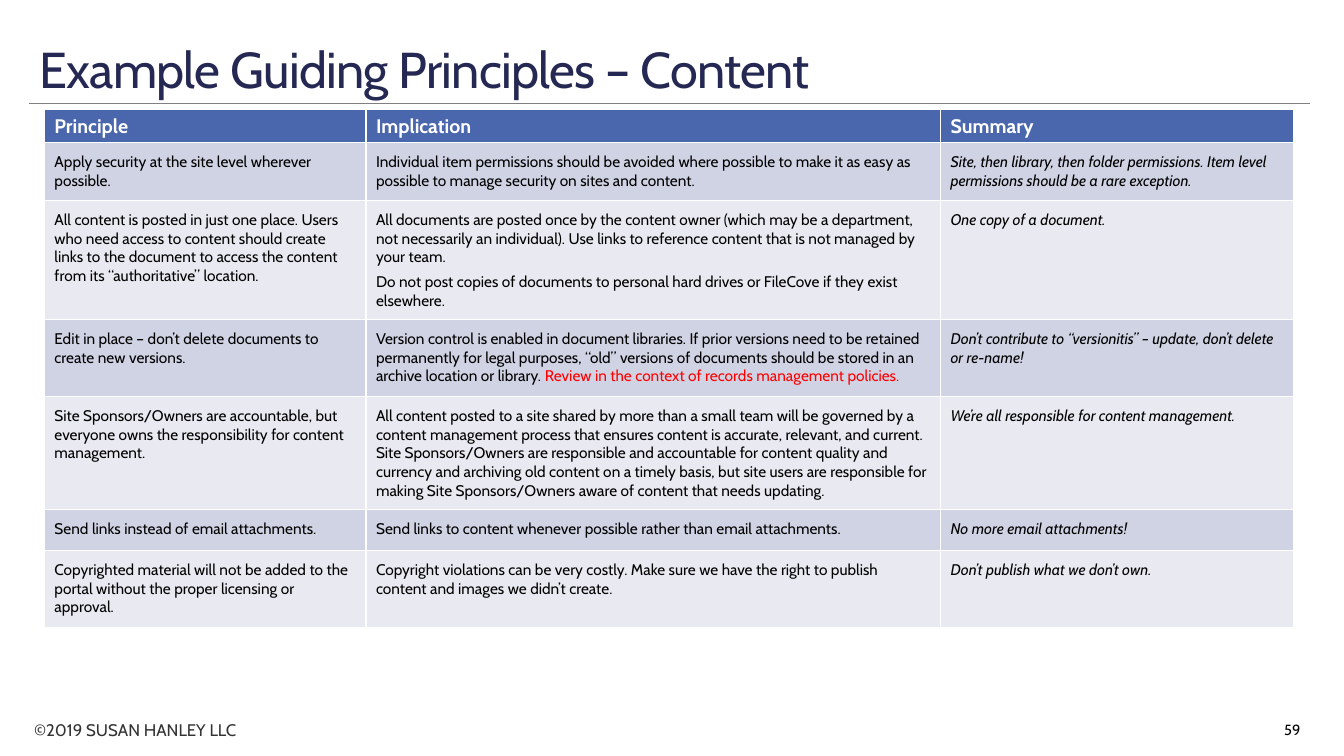
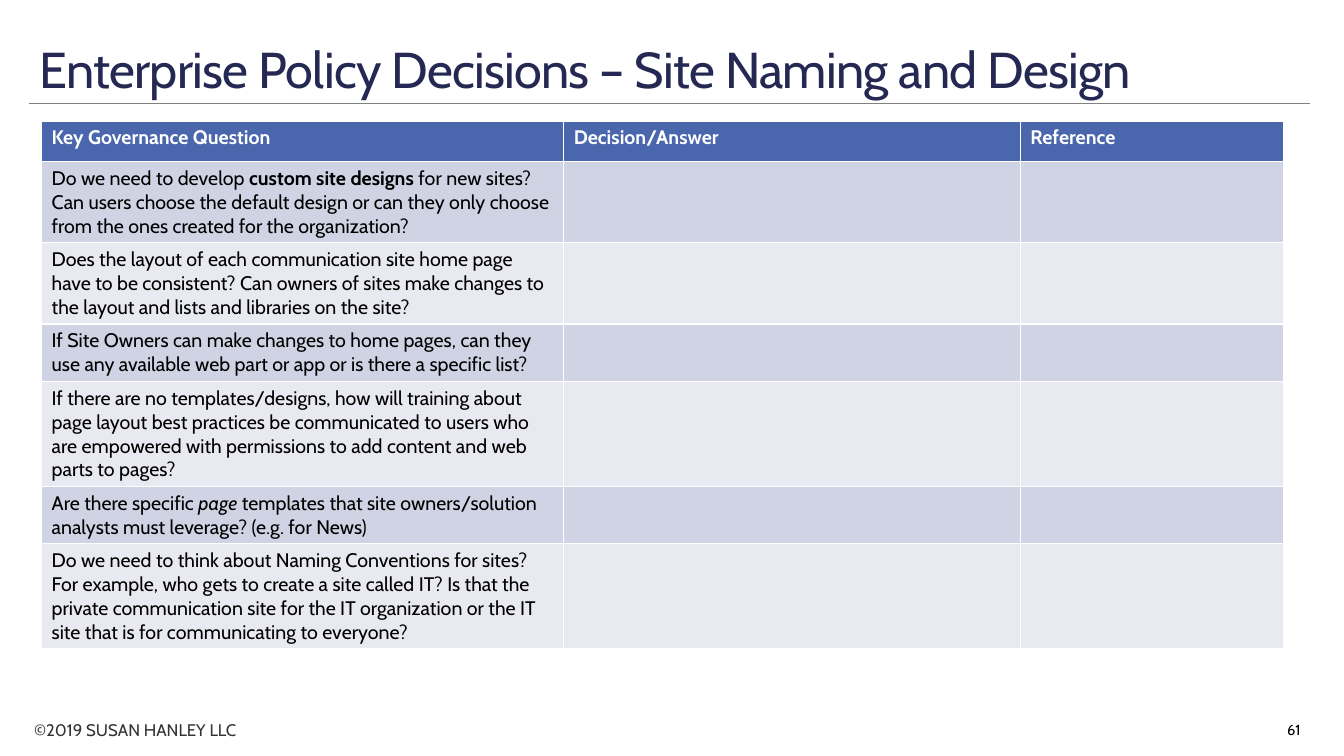
import pptx
import pptx.util
import pptx.dml.color
import pptx.enum.shapes
import pptx.enum.text
import lxml.etree

Pt = pptx.util.Pt
PP_ALIGN = pptx.enum.text.PP_ALIGN
ANCHOR = pptx.enum.text.MSO_ANCHOR

COLORS = {
    "title": "242852",
    "rule": "808080",
    "footer": "333333",
    "text": "000000",
    "alert": "FF0000",
    "header_text": "FFFFFF",
    "header": "4A66AC",
    "odd_row": "D0D3E3",
    "even_row": "E9EAF1",
}
FONT = "Cabin"
FOOTER = "©2019 SUSAN HANLEY LLC"

TITLE_STYLE = {"size": Pt(36), "color": "title"}
FOOTER_STYLE = {"size": Pt(12), "color": "footer"}
NUMBER_STYLE = {"size": Pt(10.5), "color": "text"}
HEADER_STYLE = {"size": Pt(14), "color": "header_text", "bold": True}

# A cell is a list of paragraphs; a paragraph is a string or a list of (text, format) spans.
PAGES = [
    {
        "title": "Example Guiding Principles – Content",
        "number": "59",
        "left": 31.7, "top": 78,
        "widths": [229.7, 410.4, 252],
        "heights": [23, 41, 85, 55, 81, 29, 55],
        "body": {"size": Pt(11), "color": "text", "bold": False},
        "last_column": {"italic": True},
        "margin": 7.2,
        "space_after": 4,
        "header": ["Principle", "Implication", "Summary"],
        "rows": [
            [
                ["Apply security at the site level wherever possible."],
                ["Individual item permissions should be avoided where possible to make it as easy as "
                 "possible to manage security on sites and content."],
                ["Site, then library, then folder permissions. Item level permissions should be a rare "
                 "exception."],
            ],
            [
                ["All content is posted in just one place. Users who need access to content should create "
                 "links to the document to access the content from its “authoritative” location."],
                ["All documents are posted once by the content owner (which may be a department, not "
                 "necessarily an individual). Use links to reference content that is not managed by your "
                 "team.",
                 "Do not post copies of documents to personal hard drives or FileCove if they exist "
                 "elsewhere."],
                ["One copy of a document."],
            ],
            [
                ["Edit in place – don’t delete documents to create new versions."],
                [[("Version control is enabled in document libraries. If prior versions need to be retained "
                   "permanently for legal purposes, “old” versions of documents should be stored in an "
                   "archive location or library. ", {}),
                  ("Review in the context of records management policies.", {"color": "alert"})]],
                ["Don’t contribute to “versionitis” – update, don’t delete or re-name!"],
            ],
            [
                ["Site Sponsors/Owners are accountable, but everyone owns the responsibility for content "
                 "management."],
                ["All content posted to a site shared by more than a small team will be governed by a "
                 "content management process that ensures content is accurate, relevant, and current. Site "
                 "Sponsors/Owners are responsible and accountable for content quality and currency and "
                 "archiving old content on a timely basis, but site users are responsible for making Site "
                 "Sponsors/Owners aware of content that needs updating."],
                ["We’re all responsible for content management."],
            ],
            [
                ["Send links instead of email attachments."],
                ["Send links to content whenever possible rather than email attachments."],
                ["No more email attachments!"],
            ],
            [
                ["Copyrighted material will not be added to the portal without the proper licensing or "
                 "approval."],
                ["Copyright violations can be very costly. Make sure we have the right to publish content "
                 "and images we didn’t create."],
                ["Don’t publish what we don’t own."],
            ],
        ],
    },
    {
        "title": "Enterprise Policy Decisions – Site Naming and Design",
        "number": "61",
        "left": 29.7, "top": 86.4,
        "widths": [373, 326.2, 187.9],
        "heights": [29, 58, 58, 41, 75, 41, 75],
        "body": {"size": Pt(14), "color": "text", "bold": False},
        "last_column": {},
        "margin": 3.6,
        "space_after": 0,
        "header": ["Key Governance Question", "Decision/Answer", "Reference"],
        "rows": [
            [[[("Do we need to develop ", {}),
               ("custom site designs ", {"bold": True}),
               ("for new sites? Can users choose the default design or can they only choose from the ones "
                "created for the organization?", {})]]],
            [["Does the layout of each communication site home page have to be consistent? Can owners of "
              "sites make changes to the layout and lists and libraries on the site?"]],
            [["If Site Owners can make changes to home pages, can they use any available web part or app or "
              "is there a specific list?"]],
            [["If there are no templates/designs, how will training about page layout best practices be "
              "communicated to users who are empowered with permissions to add content and web parts to "
              "pages?"]],
            [[[("Are there specific ", {}),
               ("page", {"italic": True}),
               (" templates that site owners/solution analysts must leverage? (e.g. for News)", {})]]],
            [["Do we need to think about Naming Conventions for sites? For example, who gets to create a "
              "site called IT? Is that the private communication site for the IT organization or the IT "
              "site that is for communicating to everyone?"]],
        ],
    },
]


def rgb(name):
    return pptx.dml.color.RGBColor.from_string(COLORS[name])


def write(frame, paragraphs, style, **layout):
    """Fill a text frame; style formats the spans, layout the paragraphs."""
    frame.word_wrap = True
    for index, content in enumerate(paragraphs):
        para = frame.paragraphs[0] if index == 0 else frame.add_paragraph()
        for name, value in layout.items():
            setattr(para, name, value)
        for text, extra in [(content, {})] if isinstance(content, str) else content:
            span = para.add_run()
            span.text = text
            span.font.name = FONT
            for name, value in {**style, **extra}.items():
                if name == "color":
                    span.font.color.rgb = rgb(value)
                else:
                    setattr(span.font, name, value)


deck = pptx.Presentation()
deck.slide_width, deck.slide_height = Pt(960), Pt(540)
title_only = deck.slide_layouts[5]

for content in PAGES:
    page = deck.slides.add_slide(title_only)

    rule = page.shapes.add_connector(
        pptx.enum.shapes.MSO_CONNECTOR.STRAIGHT, Pt(21), Pt(74.2), Pt(936), Pt(74.2))
    rule.line.color.rgb = rgb("rule")
    rule.line.width = Pt(0.5)
    lxml.etree.SubElement(rule._element.spPr, pptx.oxml.ns.qn("a:effectLst"))

    title = page.shapes.title
    title.left, title.top, title.width, title.height = Pt(21), Pt(13.7), Pt(915), Pt(60.5)
    title.text_frame.auto_size = pptx.enum.text.MSO_AUTO_SIZE.NONE
    title.text_frame.vertical_anchor = ANCHOR.BOTTOM
    write(title.text_frame, [content["title"]], TITLE_STYLE,
          alignment=PP_ALIGN.LEFT, line_spacing=0.85)
    title.text_frame.paragraphs[0].runs[0]._r.get_or_add_rPr().set("spc", "-50")

    footer = page.shapes.add_textbox(Pt(17.3), Pt(510.5), Pt(202), Pt(21.6))
    write(footer.text_frame, [FOOTER], FOOTER_STYLE)

    number = page.shapes.add_textbox(Pt(833), Pt(507), Pt(103), Pt(28.8))
    number.text_frame.vertical_anchor = ANCHOR.MIDDLE
    write(number.text_frame, [content["number"]], NUMBER_STYLE, alignment=PP_ALIGN.RIGHT)

    widths, heights = content["widths"], content["heights"]
    table = page.shapes.add_table(
        len(heights), len(widths), Pt(content["left"]), Pt(content["top"]),
        Pt(sum(widths)), Pt(sum(heights))).table
    for column, width in zip(table.columns, widths):
        column.width = Pt(width)
    for row, height in zip(table.rows, heights):
        row.height = Pt(height)

    for column, heading in enumerate(content["header"]):
        cell = table.cell(0, column)
        cell.fill.solid()
        cell.fill.fore_color.rgb = rgb("header")
        write(cell.text_frame, [heading], HEADER_STYLE)

    for row, texts in enumerate(content["rows"], start=1):
        for column in range(len(widths)):
            cell = table.cell(row, column)
            cell.fill.solid()
            cell.fill.fore_color.rgb = rgb("odd_row" if row % 2 else "even_row")
            cell.margin_top = cell.margin_bottom = Pt(content["margin"])
            if column < len(texts):
                last = column == len(widths) - 1
                style = {**content["body"], **(content["last_column"] if last else {})}
                write(cell.text_frame, texts[column], style,
                      space_after=Pt(content["space_after"]))

deck.save("out.pptx")
